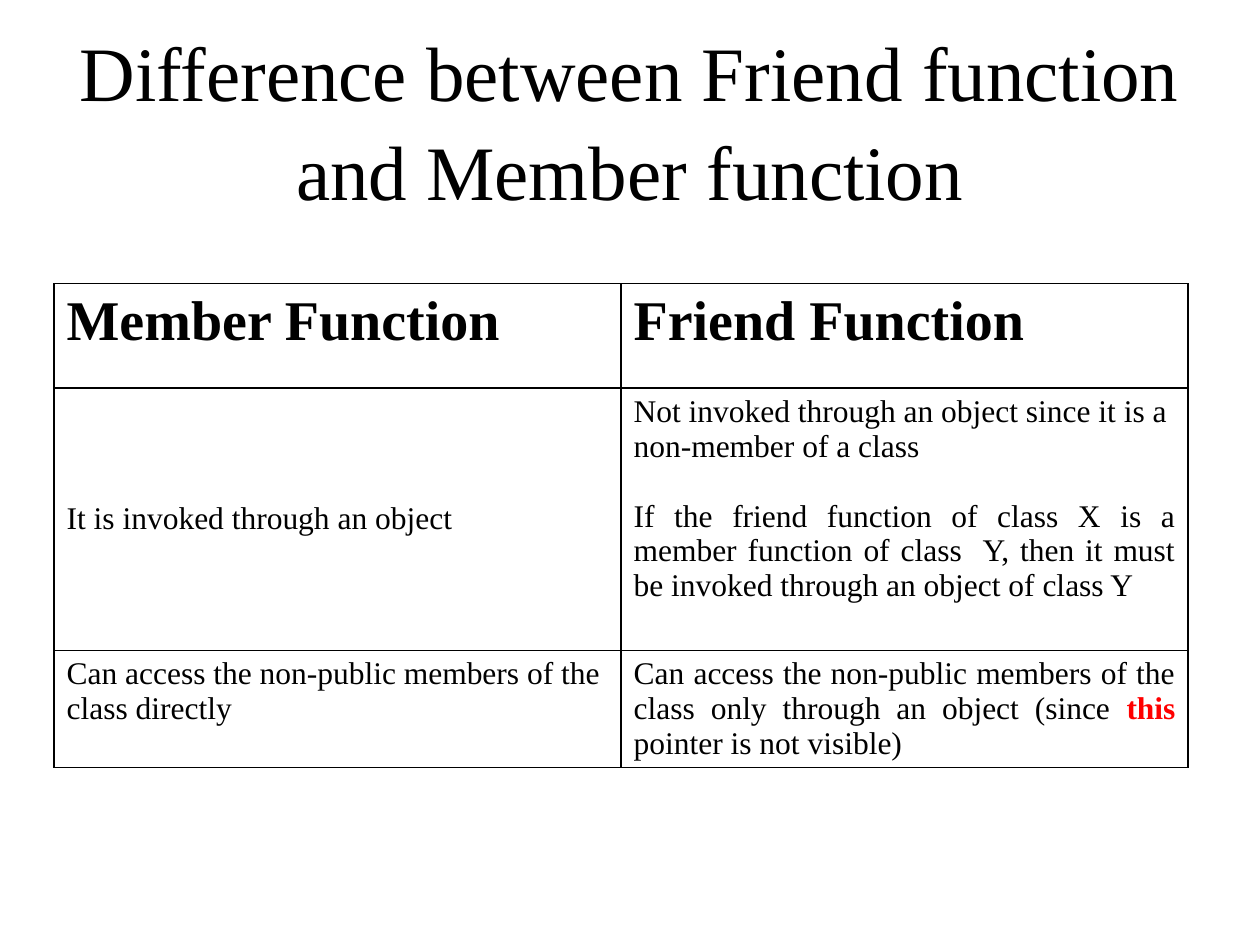
from lxml.etree import SubElement
from pptx import Presentation
from pptx.dml.color import RGBColor
from pptx.enum.text import MSO_ANCHOR, MSO_AUTO_SIZE, PP_ALIGN
from pptx.oxml.ns import qn
from pptx.util import Cm, Pt

BLACK = RGBColor(0x00, 0x00, 0x00)
WHITE = RGBColor(0xFF, 0xFF, 0xFF)
RED = RGBColor(0xFF, 0x00, 0x00)

TITLE = "Difference between Friend function and Member function"
HEADINGS = ["Member Function", "Friend Function"]
INVOKED = "It is invoked through an object"
NOT_INVOKED = [
    "Not invoked through an object since it is a non-member of a class",
    "If the friend function of class X is a member function of class  Y, "
    "then it must be invoked through an object of class Y",
]
DIRECT_ACCESS = "Can access the non-public members of the class directly"
OBJECT_ACCESS = "Can access the non-public members of the class only through an object (since "


class ComparisonSlide:
    font_name = "Times New Roman"
    title_size = Pt(44)
    heading_size = Pt(32)
    body_size = Pt(18)

    def __init__(self, presentation):
        self.slide = presentation.slides.add_slide(presentation.slide_layouts[5])

    def format_run(self, run, size, bold=False, color=BLACK):
        run.font.name = self.font_name
        run.font.size = size
        run.font.bold = bold
        run.font.color.rgb = color

    def title(self, text, left, top, width, height):
        shape = self.slide.shapes.title
        shape.left, shape.top, shape.width, shape.height = left, top, width, height
        text_frame = shape.text_frame
        text_frame.text = text
        text_frame.word_wrap = True
        text_frame.auto_size = MSO_AUTO_SIZE.NONE
        text_frame.vertical_anchor = MSO_ANCHOR.MIDDLE
        paragraph = text_frame.paragraphs[0]
        paragraph.alignment = PP_ALIGN.CENTER
        paragraph.line_spacing = 1.08
        self.format_run(paragraph.runs[0], self.title_size)

    def table(self, left, top, column_width, row_heights, columns=2):
        shape = self.slide.shapes.add_table(
            len(row_heights), columns, left, top,
            column_width * columns, sum(row_heights))
        table = shape.table
        table.first_row = False
        table.horz_banding = False
        for column in table.columns:
            column.width = column_width
        for row, height in zip(table.rows, row_heights):
            row.height = height
        for cell in table.iter_cells():
            self.border(cell)
            cell.fill.solid()
            cell.fill.fore_color.rgb = WHITE
        return table

    def border(self, cell):
        properties = cell._tc.get_or_add_tcPr()
        for side in ("lnL", "lnR", "lnT", "lnB"):
            line = SubElement(properties, qn(f"a:{side}"), w=str(Pt(1)))
            fill = SubElement(line, qn("a:solidFill"))
            SubElement(fill, qn("a:srgbClr"), val=str(BLACK))

    def cell_text(self, cell, text, size=body_size, bold=False):
        cell.text_frame.text = text
        for paragraph in cell.text_frame.paragraphs:
            self.format_run(paragraph.runs[0], size, bold)
        return cell.text_frame.paragraphs


def main():
    presentation = Presentation()
    presentation.slide_width = Cm(25.4)
    presentation.slide_height = Cm(19.05)
    page = ComparisonSlide(presentation)

    # Title
    page.title(TITLE, Cm(1.27), Cm(0.76), Cm(22.86), Cm(3.18))

    # Table with headings
    table = page.table(Cm(1.09), Cm(5.72), Cm(11.43), [Cm(2.1), Cm(5.29), Cm(2.34)])
    for column, heading in enumerate(HEADINGS):
        page.cell_text(table.cell(0, column), heading, page.heading_size, True)

    # How each function is invoked
    page.cell_text(table.cell(1, 0), INVOKED)
    table.cell(1, 0).vertical_anchor = MSO_ANCHOR.MIDDLE
    condition = page.cell_text(table.cell(1, 1), "\n".join(NOT_INVOKED))[1]
    condition.alignment = PP_ALIGN.JUSTIFY
    condition.space_before = Pt(20)

    # What each function can access
    page.cell_text(table.cell(2, 0), DIRECT_ACCESS)
    access = page.cell_text(table.cell(2, 1), OBJECT_ACCESS)[0]
    access.alignment = PP_ALIGN.JUSTIFY
    for text, bold, color in [("this ", True, RED),
                              ("pointer is not visible)", False, BLACK)]:
        run = access.add_run()
        run.text = text
        page.format_run(run, page.body_size, bold, color)

    presentation.save("out.pptx")


if __name__ == "__main__":
    main()
